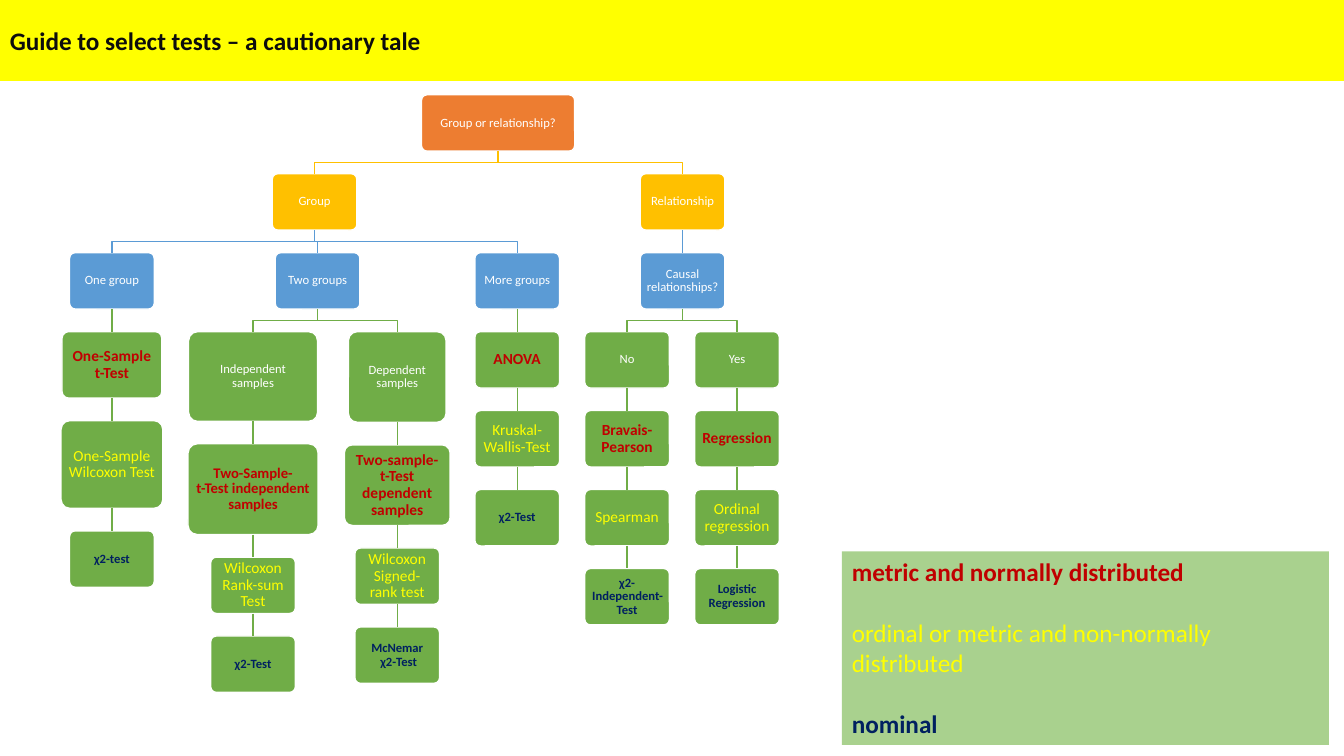
import copy
import dataclasses

import pptx
import pptx.dml.color
import pptx.enum.shapes
import pptx.enum.text
import pptx.oxml.ns
import pptx.util

Inches = pptx.util.Inches
Shape = pptx.enum.shapes.MSO_SHAPE
Align = pptx.enum.text.PP_ALIGN
Anchor = pptx.enum.text.MSO_ANCHOR
qn = pptx.oxml.ns.qn

HIGH = 0.56
STEP = 4.7 / 6
GAP = STEP - HIGH
TIERS = ["ED7D31", "FFC000", "5B9BD5", "70AD47"]
PLAIN = dict(size=9, color="FFFFFF")
METRIC = dict(size=11, color="C00000", bold=True)
ORDINAL = dict(size=11, color="FFFF00")
NOMINAL = dict(size=9, color="002060", bold=True)


@dataclasses.dataclass
class Node:
    text: str
    mid: float = 0
    look: dict = dataclasses.field(default_factory=lambda: PLAIN)
    wide: float = 0.84
    high: float = HIGH
    kids: list = dataclasses.field(default_factory=list)


def chain(mid, *nodes):
    """Hang the nodes below one another at one middle; return the top one."""
    for node, kid in zip(nodes, nodes[1:]):
        node.kids = [kid]
    for node in nodes:
        node.mid = mid
    return nodes[0]


def rgb(code):
    return pptx.dml.color.RGBColor.from_string(code)


def write(para, text, size=18, color="000000", bold=False, face="Calibri"):
    para.text = text
    for run in para.runs:
        run.font.name = face
        run.font.size = pptx.util.Pt(size)
        run.font.bold = bold
        run.font.color.rgb = rgb(color)
    # Line breaks need the run format too, or they take the default height.
    for gap in para._p.findall(qn("a:br")):
        gap.append(copy.deepcopy(para.runs[0]._r.rPr))


class Page:
    def __init__(self, slide):
        self.shapes = slide.shapes

    def box(self, kind, left, top, wide, high, fill, edge=None):
        shape = self.shapes.add_shape(
            kind, Inches(left), Inches(top), Inches(wide), Inches(high))
        shape.shadow.inherit = False
        shape.fill.solid()
        shape.fill.fore_color.rgb = rgb(fill)
        if edge:
            self.stroke(shape.line, edge)
        else:
            shape.line.fill.background()
        shape.text_frame.word_wrap = True
        shape.text_frame.vertical_anchor = Anchor.MIDDLE
        shape.text_frame.paragraphs[0].alignment = Align.LEFT
        return shape

    def stroke(self, line, color):
        line.color.rgb = rgb(color)
        line.width = pptx.util.Pt(1)

    def card(self, node, top, fill):
        shape = self.box(Shape.ROUNDED_RECTANGLE, node.mid - node.wide / 2,
                         top, node.wide, node.high, fill, "FFFFFF")
        shape.adjustments[0] = 0.1
        frame = shape.text_frame
        pad = Inches(0.05 if node.look["size"] > 9 else 0.04)
        frame.margin_left = frame.margin_right = pad
        frame.margin_top = frame.margin_bottom = pad
        para = frame.paragraphs[0]
        para.alignment = Align.CENTER
        para.line_spacing = 0.9
        write(para, node.text, **node.look)
        return shape

    def drop(self, upper, lower, color):
        """Join two cards that share a middle."""
        line = self.shapes.add_connector(
            pptx.enum.shapes.MSO_CONNECTOR.STRAIGHT, 0, 0, 0, 0)
        line.begin_connect(upper, 2)
        line.end_connect(lower, 0)
        self.stroke(line.line, color)
        line._element.spPr.append(
            line._element.spPr.makeelement(qn("a:effectLst"), {}))

    def elbow(self, start, top, end, color):
        """Run a stepped line across the gap that begins at top."""
        spots = [(start, top), (start, top + GAP / 2),
                 (end, top + GAP / 2), (end, top + GAP)]
        spots = [(Inches(x), Inches(y)) for x, y in spots]
        pen = self.shapes.build_freeform(*spots[0])
        pen.add_line_segments(spots[1:], close=False)
        path = pen.convert_to_shape()
        path.shadow.inherit = False
        path.fill.background()
        self.stroke(path.line, color)

    def tree(self, node, top, tier=0):
        """Draw a node and all below it; return the node's card."""
        card = self.card(node, top, TIERS[min(tier, 3)])
        base = top + node.high
        color = TIERS[min(tier + 1, 3)]
        for kid in node.kids:
            below = self.tree(kid, base + GAP, tier + 1)
            if kid.mid == node.mid:
                self.drop(card, below, color)
            else:
                self.elbow(node.mid, base, kid.mid, color)
        return card

    def title(self, text):
        bar = self.box(Shape.FLOWCHART_PROCESS, 0, 0, 13.33, 0.8, "FFFF00")
        write(bar.text_frame.paragraphs[0], text, color="0D0D0D", bold=True)

    def legend(self, rows):
        frame = self.box(Shape.RECTANGLE, 8.35, 5.47, 4.83, 1.92,
                         "A9D18E").text_frame
        frame.vertical_anchor = Anchor.TOP
        for i, (text, look) in enumerate(rows):
            para = frame.add_paragraph() if i else frame.paragraphs[0]
            para.alignment = Align.LEFT
            para.space_before = pptx.util.Pt(22 if i else 0)
            write(para, text, **{**look, "size": 18})


def plan():
    one = chain(
        1.11, Node("One group"),
        Node("One-Sample\nt-Test", look=METRIC, wide=0.99, high=0.66),
        Node("One-Sample Wilcoxon Test", look=ORDINAL, wide=1.01, high=0.87),
        Node("χ2-test", look=NOMINAL))
    free = chain(
        2.51, Node("Independent\nsamples", wide=1.28, high=0.89),
        Node("Two-Sample-\nt-Test independent samples",
             look={**METRIC, "size": 10.5}, wide=1.29, high=0.9),
        Node("Wilcoxon Rank-sum Test", look=ORDINAL),
        Node("χ2-Test", look=NOMINAL))
    paired = chain(
        3.94, Node("Dependent samples", wide=0.97, high=0.9),
        Node("Two-sample-t-Test dependent samples", look=METRIC,
             wide=1.05, high=0.8),
        Node("Wilcoxon Signed-rank test", look=ORDINAL),
        Node("McNemar\n χ2-Test", look=NOMINAL))
    more = chain(
        5.13, Node("More groups"), Node("ANOVA", look=METRIC),
        Node("Kruskal-Wallis-Test", look=ORDINAL),
        Node("χ2-Test", look=NOMINAL))
    no = chain(
        6.22, Node("No"), Node("Bravais-Pearson", look=METRIC),
        Node("Spearman", look=ORDINAL),
        Node("χ2-Independent-Test", look=NOMINAL))
    yes = chain(
        7.31, Node("Yes"), Node("Regression", look=METRIC),
        Node("Ordinal regression", look=ORDINAL),
        Node("Logistic Regression", look=NOMINAL))
    two = Node("Two groups", 3.15, kids=[free, paired])
    group = Node("Group", 3.12, kids=[one, two, more])
    link = chain(6.77, Node("Relationship"),
                 Node("Causal relationships?", kids=[no, yes]))
    return Node("Group or relationship?", 4.94, wide=1.52, kids=[group, link])


def main():
    deck = pptx.Presentation()
    deck.slide_width = Inches(13.33)
    deck.slide_height = Inches(7.5)
    page = Page(deck.slides.add_slide(deck.slide_layouts[6]))
    page.title("Guide to select tests – a cautionary tale")
    page.tree(plan(), 0.94)
    page.legend([
        ("metric and normally distributed", METRIC),
        ("ordinal or metric and non-normally distributed", ORDINAL),
        ("nominal", NOMINAL)])
    deck.save("out.pptx")


if __name__ == "__main__":
    main()
